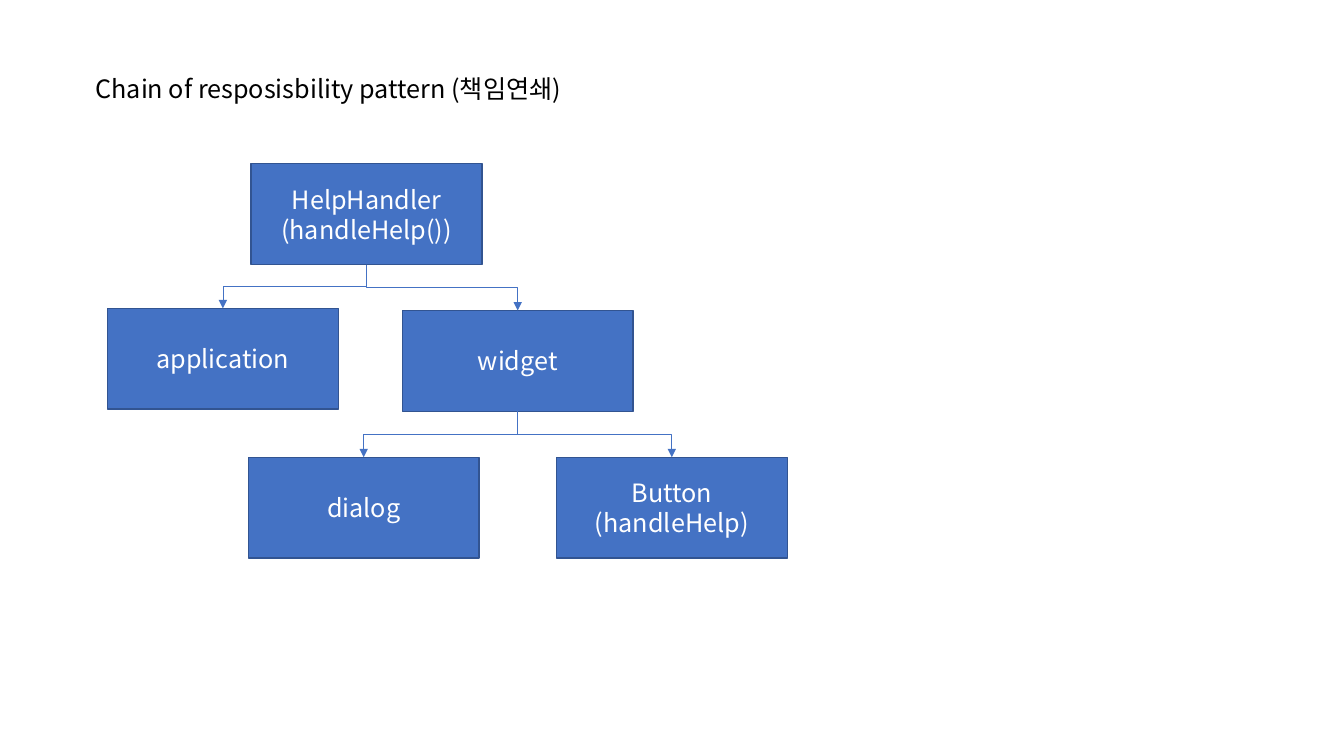
"""Build a slide with the class tree of the chain of responsibility pattern."""
from lxml import etree
from pptx import Presentation
from pptx import util as u
from pptx.dml.color import RGBColor
from pptx.enum import shapes, text
from pptx.oxml.ns import qn

Pt = u.Pt
FONT = "Noto Sans CJK KR"
COLORS = {"box": "4472C4", "border": "325491", "label": "FFFFFF", "title": "000000"}
BOX_W, BOX_H = 165, 72


def write(frame, lines, color, formats):
    for name, value in formats.items():
        setattr(frame, name, value)
    frame.text = "\n".join(lines)
    for paragraph in frame.paragraphs:
        paragraph.alignment = (
            text.PP_ALIGN.LEFT if color == "title" else text.PP_ALIGN.CENTER
        )
        for run in paragraph.runs:
            for name, value in {"name": FONT, "size": Pt(18)}.items():
                setattr(run.font, name, value)
            run.font.color.rgb = RGBColor.from_string(COLORS[color])
            east_asian = etree.SubElement(run.font._element, qn("a:ea"))
            east_asian.set("typeface", FONT)


presentation = Presentation()
presentation.slide_width, presentation.slide_height = Pt(960), Pt(540)
slide = presentation.slides.add_slide(presentation.slide_layouts[5])

title = slide.shapes.title
for name, value in {"left": 61, "top": 49, "width": 351, "height": 29}.items():
    setattr(title, name, Pt(value))
write(title.text_frame, ["Chain of resposisbility pattern (책임연쇄)"], "title", {
    "word_wrap": True,
    "auto_size": text.MSO_AUTO_SIZE.SHAPE_TO_FIT_TEXT,
    "vertical_anchor": text.MSO_ANCHOR.TOP,
})

classes = {
    "HelpHandler": (179.3, 117, ["HelpHandler", "(handleHelp())"]),
    "application": (76.7, 220.2, ["application"]),
    "widget": (287.3, 221.8, ["widget"]),
    "dialog": (177.3, 326.6, ["dialog"]),
    "Button": (397.4, 326.6, ["Button", "(handleHelp)"]),
}
boxes = {}
for class_name, (left, top, lines) in classes.items():
    box = slide.shapes.add_shape(
        shapes.MSO_SHAPE.RECTANGLE, Pt(left), Pt(top), Pt(BOX_W), Pt(BOX_H)
    )
    box.shadow.inherit = False
    box.fill.solid()
    box.fill.fore_color.rgb = RGBColor.from_string(COLORS["box"])
    box.line.color.rgb = RGBColor.from_string(COLORS["border"])
    box.line.width = Pt(1)
    write(box.text_frame, lines, "label", {
        "word_wrap": True,
        "vertical_anchor": text.MSO_ANCHOR.MIDDLE,
    })
    boxes[class_name] = box

links = [
    ("HelpHandler", "application"),
    ("HelpHandler", "widget"),
    ("widget", "dialog"),
    ("widget", "Button"),
]
for parent_name, child_name in links:
    parent, child = boxes[parent_name], boxes[child_name]
    start_x, start_y = parent.left + parent.width // 2, parent.top + parent.height
    end_x, end_y = child.left + child.width // 2, child.top
    link = slide.shapes.add_connector(
        shapes.MSO_CONNECTOR.ELBOW, start_x, start_y, end_x, end_y
    )
    link.begin_connect(parent, 2)
    link.end_connect(child, 0)
    drop, spread = end_y - start_y, abs(end_x - start_x)
    turned = {
        "left": (start_x + end_x - drop) // 2,
        "top": (start_y + end_y - spread) // 2,
        "width": drop,
        "height": spread,
    }
    for name, value in turned.items():
        setattr(link, name, value)
    goes_right = end_x > start_x
    properties = link._element.spPr
    frame = properties.find(qn("a:xfrm"))
    frame.set("rot", str((270 if goes_right else 90) * 60000))
    frame.set("flipH", "1" if goes_right else "0")
    frame.set("flipV", "0")
    link.line.color.rgb = RGBColor.from_string(COLORS["box"])
    link.line.width = Pt(0.5)
    arrowhead = etree.SubElement(properties.find(qn("a:ln")), qn("a:tailEnd"))
    arrowhead.set("type", "triangle")
    etree.SubElement(properties, qn("a:effectLst"))

presentation.save("out.pptx")
